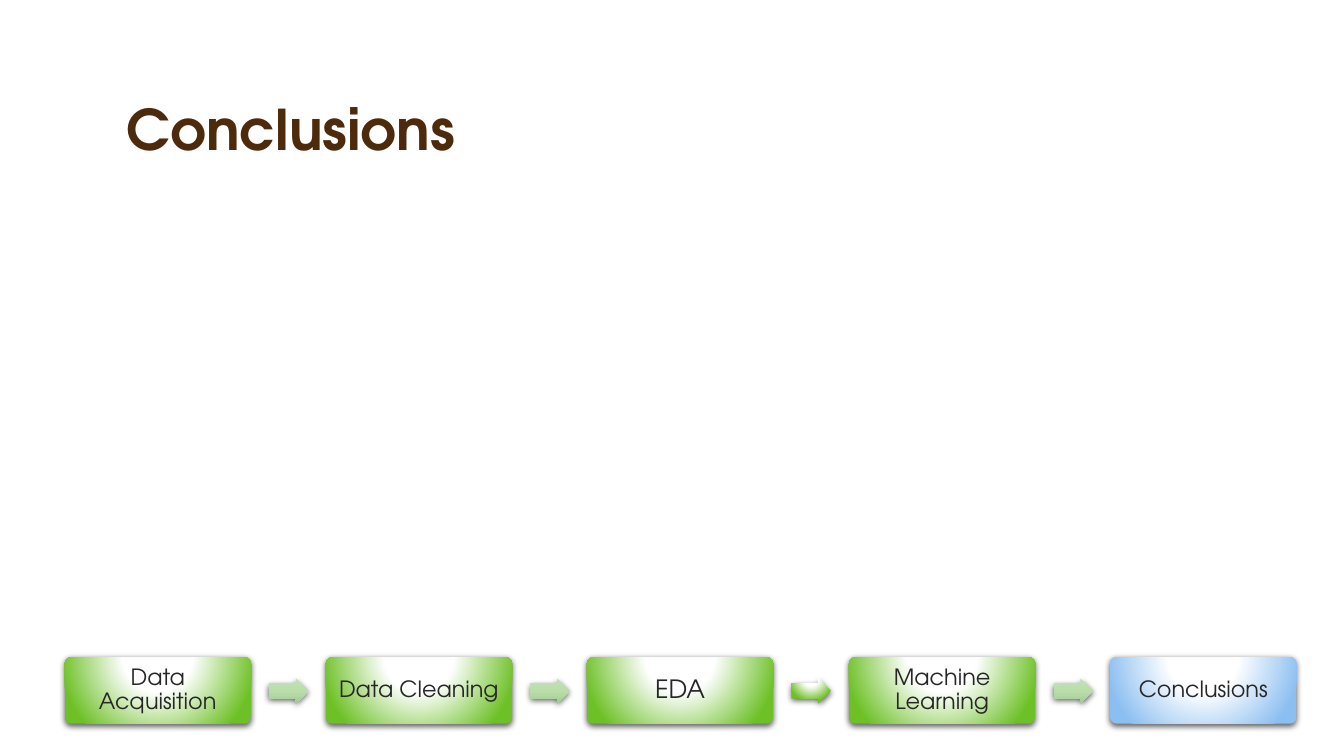
from dataclasses import dataclass

from lxml.etree import SubElement
from pptx import Presentation
from pptx.dml.color import RGBColor
from pptx.enum.shapes import MSO_SHAPE as Preset
from pptx.enum.text import MSO_ANCHOR as Anchor, PP_ALIGN as Align
from pptx.oxml.ns import qn
from pptx.shapes.autoshape import Shape
from pptx.slide import Slide
from pptx.text.text import TextFrame
from pptx.util import Emu, Pt

PX = 9144  # one px is 1/100 inch
FONT = "TeX Gyre Adventor"
COLORS = {
    "title": "4D2A0B",
    "label": "262626",
    "shadow": "000000",
    "glow": "FFFFFF",
    "green": "6DC025",
    "blue": "8BBEF1",
    "arrow_top": "C3E1B7",
    "arrow_middle": "B9DEAA",
    "arrow_bottom": "A3C994",
}

# Process bar: steps are spread evenly from the first to the last left edge
FIRST_LEFT, LAST_LEFT = 64, 1101
STEP_TOP, STEP_WIDTH, STEP_HEIGHT = 652, 185, 66
ARROW_OFFSET, ARROW_TOP, ARROW_WIDTH, ARROW_HEIGHT = 203, 673, 39, 25


@dataclass(frozen=True)
class Gradient:
    stops: tuple[tuple[int, str], ...]
    radial: bool


def glow(color: str) -> Gradient:
    return Gradient(((0, "glow"), (35, "glow"), (100, color)), radial=True)


GREEN_GLOW = glow("green")
BLUE_GLOW = glow("blue")
PALE_ARROW = Gradient(
    ((0, "arrow_top"), (50, "arrow_middle"), (100, "arrow_bottom")), radial=False
)


@dataclass(frozen=True)
class Step:
    label: str
    gradient: Gradient = GREEN_GLOW
    size: int = 16
    arrow: Gradient | None = PALE_ARROW


STEPS = (
    Step("Data Acquisition"),
    Step("Data Cleaning"),
    Step("EDA", size=18, arrow=GREEN_GLOW),
    Step("Machine Learning"),
    Step("Conclusions", gradient=BLUE_GLOW, arrow=None),
)


def px(*lengths: int) -> list[Emu]:
    return [Emu(length * PX) for length in lengths]


def paint(shape: Shape, gradient: Gradient) -> None:
    shape.fill.background()
    empty_fill = shape._element.spPr.find(qn("a:noFill"))
    fill = SubElement(shape._element.spPr, qn("a:gradFill"), rotWithShape="1")
    stops = SubElement(fill, qn("a:gsLst"))
    for position, color in gradient.stops:
        stop = SubElement(stops, qn("a:gs"), pos=str(position * 1000))
        SubElement(stop, qn("a:srgbClr"), val=COLORS[color])
    if gradient.radial:
        circle = SubElement(fill, qn("a:path"), path="circle")
        SubElement(circle, qn("a:fillToRect"),
                   l="50000", t="-80000", r="50000", b="180000")
    else:
        SubElement(fill, qn("a:lin"), ang="5400000", scaled="0")
    empty_fill.getparent().replace(empty_fill, fill)


def cast_shadow(shape: Shape) -> None:
    shape.shadow.inherit = False
    effects = shape._element.spPr.find(qn("a:effectLst"))
    shadow = SubElement(effects, qn("a:outerShdw"), blurRad=str(Pt(4.5)),
                        dist=str(Pt(1.5)), dir="5400000", algn="ctr", rotWithShape="0")
    color = SubElement(shadow, qn("a:srgbClr"), val=COLORS["shadow"])
    SubElement(color, qn("a:alpha"), val="63000")


def add_block(page: Slide, preset: Preset, box: list[Emu],
              adjustments: tuple[float, ...], gradient: Gradient) -> Shape:
    shape = page.shapes.add_shape(preset, *box)
    for index, value in enumerate(adjustments):
        shape.adjustments[index] = value
    paint(shape, gradient)
    shape.line.fill.background()
    cast_shadow(shape)
    return shape


def write(frame: TextFrame, text: str, size: int, color: str, anchor: Anchor,
          align: Align, bold: bool = False) -> None:
    frame.word_wrap = True
    frame.vertical_anchor = anchor
    para = frame.paragraphs[0]
    para.text = text
    para.alignment = align
    para.line_spacing = 0.9
    para.font.name = FONT
    para.font.size = Pt(size)
    para.font.bold = bold
    para.font.color.rgb = RGBColor.from_string(COLORS[color])


def add_step(page: Slide, step: Step, left: int) -> None:
    block = add_block(page, Preset.ROUNDED_RECTANGLE,
                      px(left, STEP_TOP, STEP_WIDTH, STEP_HEIGHT), (0.1,), step.gradient)
    frame = block.text_frame
    frame.margin_left, frame.margin_top, frame.margin_right, frame.margin_bottom = px(7, 7, 7, 7)
    write(frame, step.label, step.size, "label", Anchor.MIDDLE, Align.CENTER)
    if step.arrow:
        add_block(page, Preset.RIGHT_ARROW,
                  px(left + ARROW_OFFSET, ARROW_TOP, ARROW_WIDTH, ARROW_HEIGHT),
                  (0.6, 0.5), step.arrow)


def main() -> None:
    deck = Presentation()
    deck.slide_width, deck.slide_height = px(1333, 750)
    page = deck.slides.add_slide(deck.slide_layouts[6])

    # Title
    title = page.shapes.add_textbox(*px(116, 33, 1100, 133))
    write(title.text_frame, "Conclusions", 40, "title", Anchor.BOTTOM, Align.LEFT, bold=True)

    # Process bar
    pitch = (LAST_LEFT - FIRST_LEFT) / (len(STEPS) - 1)
    for index, step in enumerate(STEPS):
        add_step(page, step, FIRST_LEFT + round(index * pitch))

    deck.save("out.pptx")


if __name__ == "__main__":
    main()
